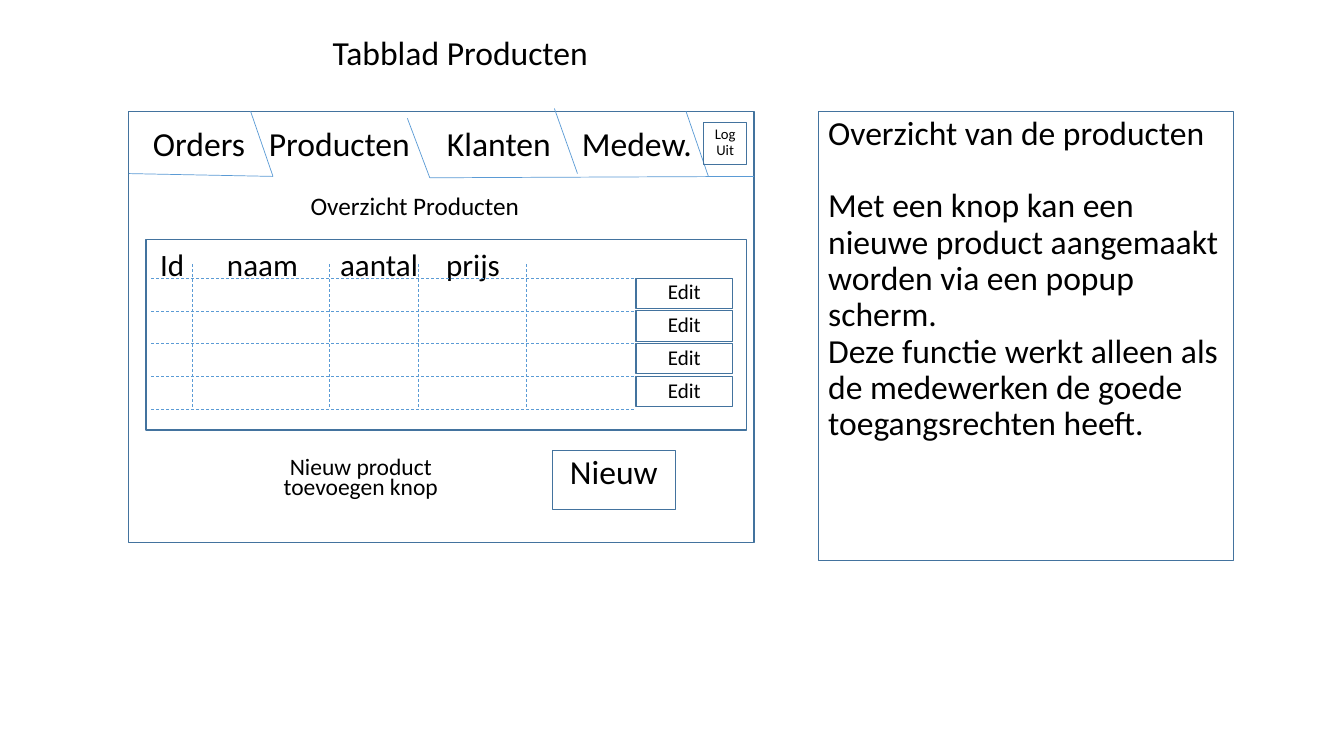
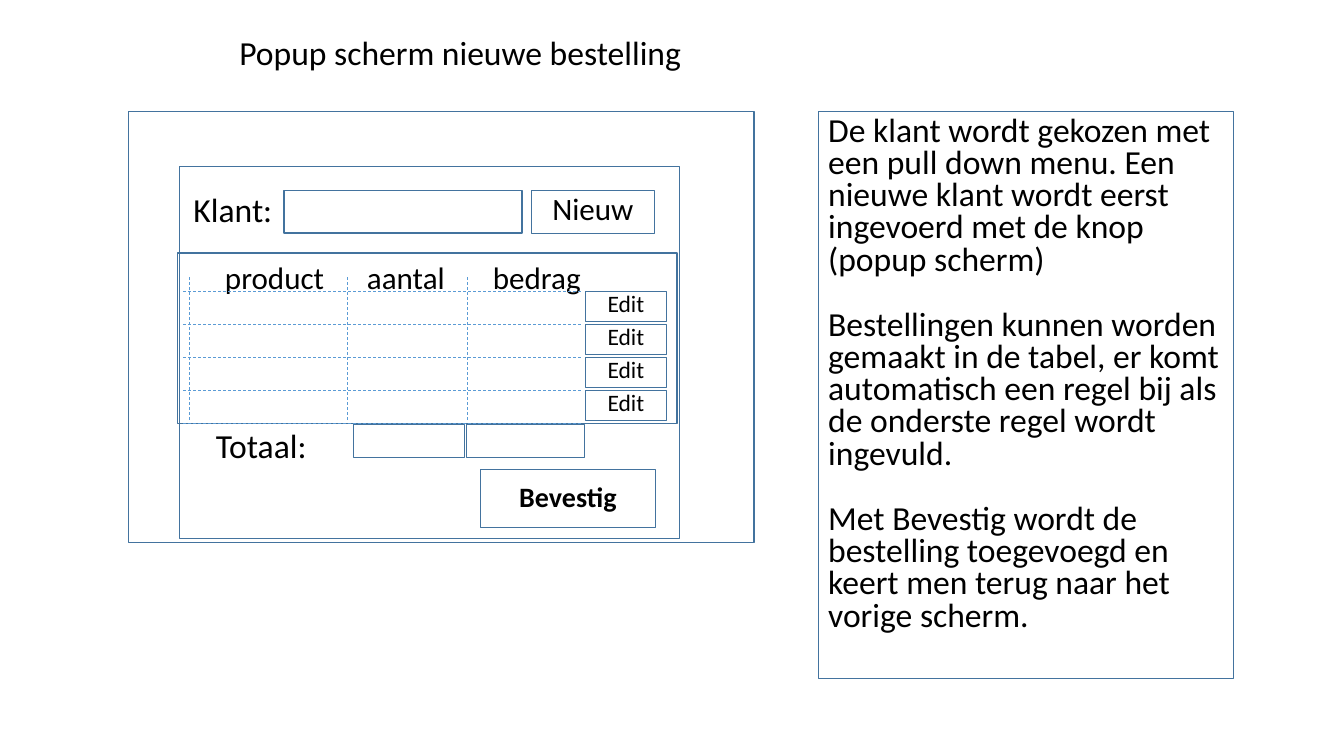
from lxml import etree
from pptx import Presentation
from pptx.dml.color import RGBColor
from pptx.enum.dml import MSO_LINE
from pptx.enum.shapes import MSO_CONNECTOR, MSO_SHAPE
from pptx.enum.text import MSO_ANCHOR, MSO_AUTO_SIZE, PP_ALIGN
from pptx.oxml.ns import qn
from pptx.util import Pt

RECT, LINE, DASH = MSO_SHAPE.RECTANGLE, MSO_CONNECTOR.STRAIGHT, MSO_LINE.DASH
TOP, MID, LOW = MSO_ANCHOR.TOP, MSO_ANCHOR.MIDDLE, MSO_ANCHOR.BOTTOM
LEFT, MIDST, RIGHT = PP_ALIGN.LEFT, PP_ALIGN.CENTER, PP_ALIGN.RIGHT
FIXED = MSO_AUTO_SIZE.NONE
FONT = "Calibri"
COLOR = {"text": "000000", "edge": "43739E", "rule": "5B9BD5"}


def put(slide, area, text="", shape=None, edge=0, size=24, bold=False,
        align=MIDST, anchor=TOP, lead=0.9, gap=0, pad=7.2):
    """Place text in a given shape, in a rectangle (edge > 0) or in a text box.

    Each line of text is a paragraph; an "¶" at its start adds gap above it.
    """
    area = [Pt(n) for n in area]
    if edge:
        shape = slide.shapes.add_shape(RECT, *area)
        shape.shadow.inherit = False
        shape.fill.background()
        shape.line.color.rgb = RGBColor.from_string(COLOR["edge"])
        shape.line.width = Pt(edge)
    elif shape is None:
        shape = slide.shapes.add_textbox(*area)
    shape.left, shape.top, shape.width, shape.height = area
    if not text:
        return
    frame = shape.text_frame
    frame.word_wrap = True
    frame.auto_size = FIXED
    frame.vertical_anchor = anchor
    frame.margin_left = frame.margin_right = Pt(pad)
    for i, row in enumerate(text.split("\n")):
        para = frame.add_paragraph() if i else frame.paragraphs[0]
        para.alignment = align
        para.line_spacing = lead
        para.space_before = Pt(gap if row.startswith("¶") else 0)
        run = para.add_run()
        run.text = row.lstrip("¶")
        run.font.name = FONT
        run.font.size = Pt(size)
        run.font.bold = bold
        run.font.color.rgb = RGBColor.from_string(COLOR["text"])


def rule(slide, x1, y1, x2, y2, dash=None):
    line = slide.shapes.add_connector(LINE, Pt(x1), Pt(y1), Pt(x2), Pt(y2))
    line.line.color.rgb = RGBColor.from_string(COLOR["rule"])
    line.line.width = Pt(0.5)
    line.line.dash_style = dash
    etree.SubElement(line._element.spPr, qn("a:effectLst"))


deck = Presentation()
deck.slide_width, deck.slide_height = Pt(960), Pt(540)

# Title, height, line spacing and text of the note, gap between its parts
views = [
    ("Tabblad Producten", 321, 0.9, 26,
     "Overzicht van de producten\n"
     "¶Met een knop kan een nieuwe product aangemaakt worden via een "
     "popup scherm.\n"
     "Deze functie werkt alleen als de medewerken de goede "
     "toegangsrechten heeft."),
    ("Popup scherm nieuwe bestelling", 405, 0.8, 23.4,
     "De klant wordt gekozen met een pull down menu. Een nieuwe klant wordt "
     "eerst ingevoerd met de knop (popup scherm)\n"
     "¶Bestellingen kunnen worden gemaakt in de tabel, er komt automatisch "
     "een regel bij als de onderste regel wordt ingevuld.\n"
     "¶Met Bevestig wordt de bestelling toegevoegd en keert men terug naar "
     "het vorige scherm."),
]
for title, high, lead, gap, note in views:
    slide = deck.slides.add_slide(deck.slide_layouts[5])
    put(slide, (135.5, 22.5, 386.5, 42), title, shape=slide.shapes.title)
    put(slide, (92, 79.5, 446.5, 308), edge=1)
    put(slide, (584.5, 79.5, 296.5, high), note, edge=0.75, align=LEFT,
        lead=lead, gap=gap)
goods, popup = deck.slides

# Product tab: tab bar, caption and button
for x1, y1, x2, y2 in [(92, 124, 195, 126), (195, 126, 179, 79.5),
                       (307, 127, 291, 84.5), (307, 127, 538.5, 126),
                       (412.5, 124, 396, 77.5), (506, 126, 490, 79.5)]:
    rule(goods, x1, y1, x2, y2)
for x, name in [(109.3, "Orders"), (192.1, "Producten"),
                (319.3, "Klanten"), (415.7, "Medew.")]:
    put(goods, (x, 84.2, 105, 36), name, align=LEFT, anchor=LOW, pad=0)
put(goods, (502.5, 87.3, 31, 30.5), "Log\nUit", edge=0.75, size=10.5, pad=0)
put(goods, (128, 126, 336.5, 35.3), "Overzicht Producten", size=18, anchor=LOW)
put(goods, (157.7, 323.3, 200, 36.7), "Nieuw product\ntoevoegen knop",
    size=16.8, anchor=LOW, lead=0.7)
put(goods, (394.5, 321.8, 88, 42.5), "Nieuw", edge=0.75)

# Popup: window, customer row, totals and confirm button
put(popup, (128.2, 119, 357, 265.5), edge=1)
put(popup, (111.6, 134.6, 90, 41), "Klant:", align=RIGHT)
put(popup, (203, 136, 170, 30.5), edge=1)
put(popup, (379.5, 136, 88, 30.5), "Nieuw", edge=0.75, size=22.2,
    anchor=MID, lead=0.8)
put(popup, (135.4, 303.1, 90.7, 34), "Totaal:", align=RIGHT)
for x, wide in [(252.7, 79.3), (333.4, 84.2)]:
    put(popup, (x, 303.1, wide, 23.8), edge=1)
put(popup, (343.4, 335.5, 124.6, 41), "Bevestig", edge=0.75, size=20,
    bold=True, anchor=MID)

# Tables: frame, heads, column rules, row rules (x from, x to, y, step), buttons
grids = [
    (goods, (104.4, 171.3, 429, 136),
     [(114.3, "Id"), (162.1, "naam"), (242.9, "aantal"), (318.6, "prijs")],
     (137.5, 235.5, 298.8, 375.8), (108, 453, 198.7, 23.4), (454.3, 69, 15)),
    (popup, (126.7, 180.7, 357, 121.7),
     [(160.7, "product"), (262.1, "aantal"), (352.1, "bedrag")],
     (135.4, 248.4, 334), (131, 416, 208, 23.6), (418.3, 57.6, 16.8)),
]
for slide, area, heads, cols, rows, (left, wide, size) in grids:
    start, end, top, step = rows
    put(slide, area, edge=1)
    for x in cols:
        rule(slide, x, top - 10, x, top + 92, DASH)
    for x, name in heads:
        put(slide, (x, top - 21.2, 90, 27.4), name, size=22.2, align=LEFT,
            anchor=LOW, lead=0.7, pad=0)
    for i in range(5):
        y = top + i * step
        rule(slide, start, y, end, y, DASH)
        if i < 4:
            put(slide, (left, y, wide, 21.6), "Edit", edge=0.75, size=size,
                anchor=LOW, lead=0.7)

deck.save("out.pptx")
